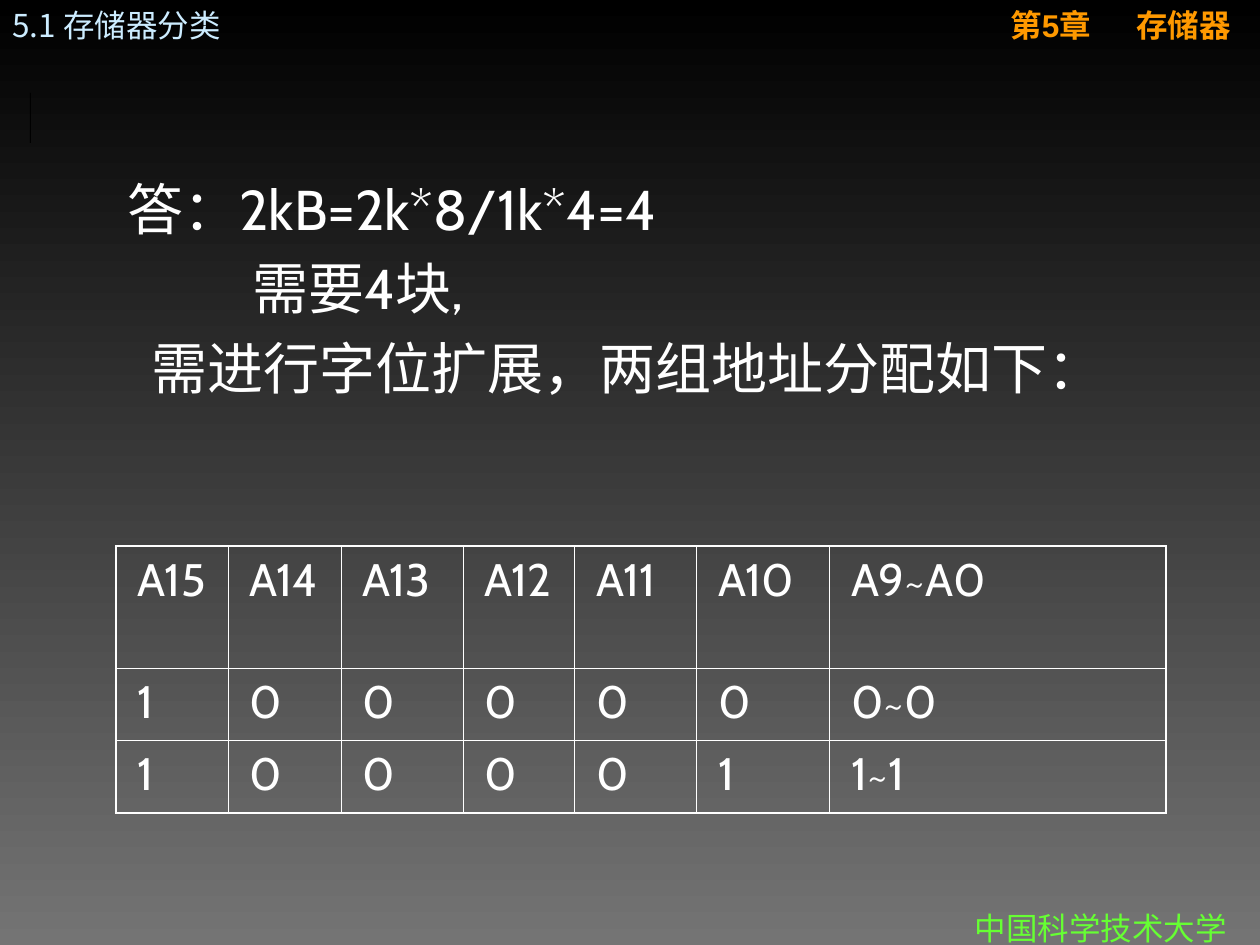
import pptx
import pptx.util
import pptx.dml.color
import pptx.enum.shapes
import pptx.enum.text
import pptx.oxml.ns
from lxml import etree

PX = pptx.util.Inches(1) / 126
COLORS = {
    "top": "000000", "bottom": "747474", "mark": "000000", "section": "CCECFF",
    "chapter": "FF9900", "school": "66FF33", "body": "FFFFFF", "grid": "FFFFFF",
}
qn = pptx.oxml.ns.qn
LEFT, RIGHT = pptx.enum.text.PP_ALIGN.LEFT, pptx.enum.text.PP_ALIGN.RIGHT


def px(length):
    return round(length * PX)


def write(paragraph, text, color, face, size, bold=False, indent=0, tab=None):
    properties = paragraph._p.get_or_add_pPr()
    properties.set("marL", str(px(indent)))
    properties.set("indent", "0")
    if tab:
        stops = etree.SubElement(properties, qn("a:tabLst"))
        etree.SubElement(stops, qn("a:tab"), pos=str(px(tab)), algn="l")
    run = paragraph.add_run()
    run.text = text
    font_format = {"name": face, "size": pptx.util.Pt(size), "bold": bold}
    for name, value in font_format.items():
        setattr(run.font, name, value)
    run.font.color.rgb = pptx.dml.color.RGBColor.from_string(COLORS[color])
    # Chinese characters use the same face
    etree.SubElement(run._r.get_or_add_rPr(), qn("a:ea"), typeface=face)


deck = pptx.Presentation()
deck.slide_width, deck.slide_height = px(1260), px(945)
slide = deck.slides.add_slide(deck.slide_layouts[6])

# Background gradient, dark at the top
backdrop = slide.background.fill
backdrop.gradient()
backdrop.gradient_angle = 270
for stop, shade in zip(backdrop.gradient_stops, ("top", "bottom")):
    stop.color.rgb = pptx.dml.color.RGBColor.from_string(COLORS[shade])

# Thin mark at the left edge
mark = slide.shapes.add_shape(
    pptx.enum.shapes.MSO_SHAPE.RECTANGLE, px(30), px(93), px(1), px(50))
mark.shadow.inherit = False
mark.fill.solid()
mark.fill.fore_color.rgb = pptx.dml.color.RGBColor.from_string(COLORS["mark"])
mark.line.fill.background()

# Section, chapter, school and answer
CJK = "Noto Sans CJK SC"
texts = [
    ((0, 0, 262, 53), LEFT, [("5.1 存储器分类", "section", CJK, 18)]),
    ((998, 0, 262, 53), LEFT,
     [("第5章\t存储器", "chapter", "Arial", 18, True, 0, 109)]),
    ((955, 903, 284, 42), RIGHT, [("中国科学技术大学", "school", CJK, 18)]),
    ((105, 168, 1092, 262), LEFT, [
        ("答：2kB=2k*8/1k*4=4", "body", "Cabin", 32, False, 10),
        ("需要4块,", "body", "Cabin", 32, False, 135),
        ("需进行字位扩展，两组地址分配如下：", "body", "Cabin", 32, False, 34),
    ]),
]
for place, alignment, lines in texts:
    frame = slide.shapes.add_textbox(*map(px, place)).text_frame
    frame.word_wrap = True
    for number, line in enumerate(lines):
        paragraph = frame.add_paragraph() if number else frame.paragraphs[0]
        write(paragraph, *line)
        paragraph.alignment = alignment
        if number:
            paragraph.space_before = pptx.util.Pt(7)

# Address table
addresses = [
    ["A15", "A14", "A13", "A12", "A11", "A10", "A9~A0"],
    ["1", "0", "0", "0", "0", "0", "0~0"],
    ["1", "0", "0", "0", "0", "1", "1~1"],
]
widths = [112, 113, 122, 112, 122, 133, 336]
heights = [122, 72, 73]
table = slide.shapes.add_table(
    len(heights), len(widths), px(116), px(546), px(sum(widths)), px(sum(heights))).table
for flag, value in {"first_row": False, "horz_banding": False}.items():
    setattr(table, flag, value)
for column, width in zip(table.columns, widths):
    column.width = px(width)
for row, height in zip(table.rows, heights):
    row.height = px(height)

last_row, last_column = len(heights) - 1, len(widths) - 1
for r, bits in enumerate(addresses):
    for c, bit in enumerate(bits):
        cell = table.cell(r, c)
        write(cell.text_frame.paragraphs[0], bit, "body", "Cabin", 26, indent=9)
        # Outer edges are heavier than inner ones
        outer = {"L": c == 0, "R": c == last_column, "T": r == 0, "B": r == last_row}
        for side, heavy in outer.items():
            width = pptx.util.Pt(1.08 if heavy else 0.45)
            edge = etree.SubElement(
                cell._tc.get_or_add_tcPr(), qn("a:ln" + side), w=str(width))
            paint = etree.SubElement(edge, qn("a:solidFill"))
            etree.SubElement(paint, qn("a:srgbClr"), val=COLORS["grid"])
        cell.fill.background()

deck.save("out.pptx")
